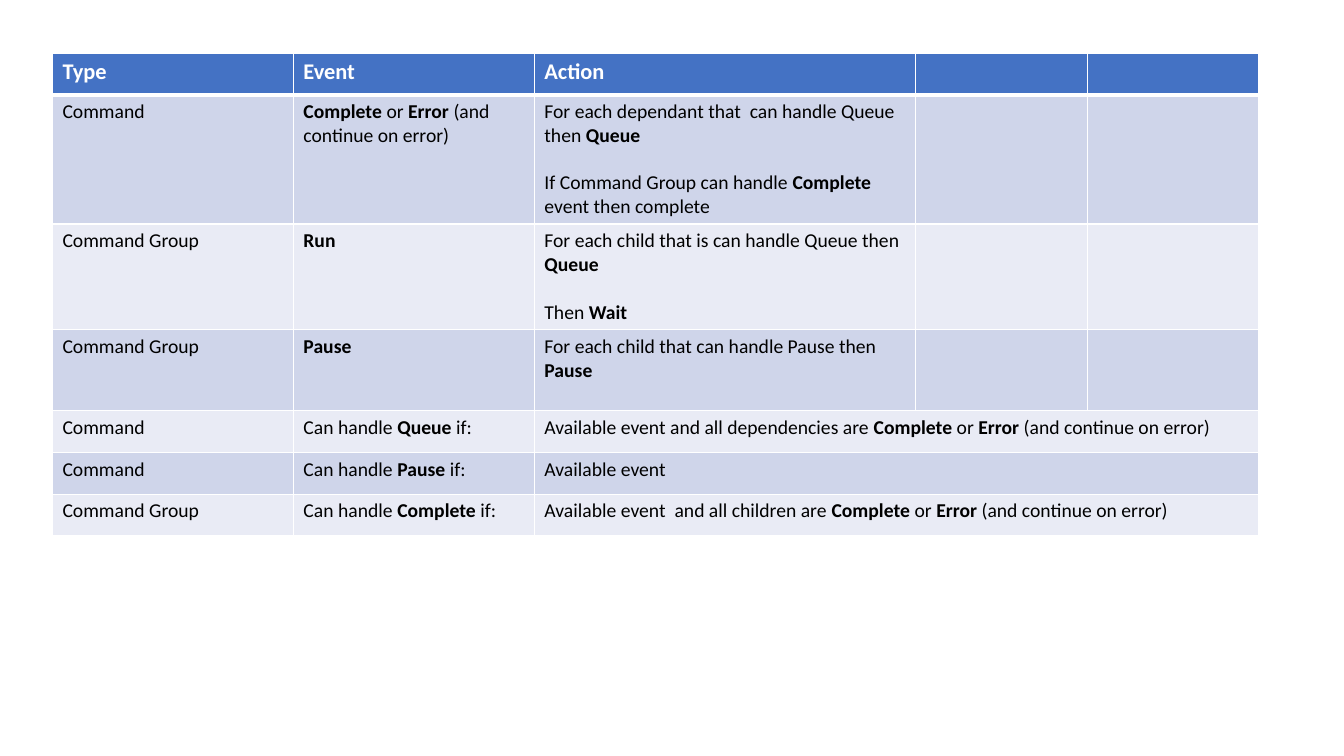
from lxml import etree
from pptx import Presentation
from pptx.dml.color import RGBColor
from pptx.oxml.ns import qn
from pptx.util import Inches, Pt

BLANK_LAYOUT = 6
WHITE, BLACK, HEADER_BLUE = "FFFFFF", "000000", "4472C4"
BAND_COLORS = ["E9EBF5", "CFD5EA"]
COLUMN_WIDTHS = [2.39, 2.39, 3.78, 1.71, 1.69]
ROW_HEIGHTS = [0.41, 1.28, 1.05, 0.8, 0.42, 0.41, 0.41]
ACTION_COLUMN = 2
FIRST_MERGED_ROW = 4
LINE_GAP = 17

# Asterisks enclose bold words; a list holds paragraphs, "^" opens one after a gap.
ROWS = [
    ["*Type*", "*Event*", "*Action*"],
    ["Command", "*Complete *or* Error *(and continue on error)",
     ["For each dependant that  can handle Queue then *Queue*",
      "^If Command Group can handle *Complete* event then complete"]],
    ["Command Group", "*Run*",
     ["For each child that is can handle Queue then", "*Queue*", "^Then *Wait*"]],
    ["Command Group", "*Pause*",
     ["For each child that can handle Pause then", "*Pause*"]],
    ["Command", "Can handle *Queue *if:",
     "Available event and all dependencies are *Complete* or *Error *(and continue on error)"],
    ["Command", "Can handle *Pause* if:", "Available event"],
    ["Command Group", "Can handle *Complete* if:",
     "Available event  and all children are *Complete* or *Error *(and continue on error)"],
]


def write_text(cell, text, size=14, color=BLACK, font="Calibri"):
    """Write marked-up paragraphs into a cell."""
    lines = text if isinstance(text, list) else [text]
    for index, line in enumerate(lines):
        frame = cell.text_frame
        para = frame.add_paragraph() if index else frame.paragraphs[0]
        if line.startswith("^"):
            para.space_before = Pt(LINE_GAP)
        for part, words in enumerate(line.lstrip("^").split("*")):
            if words:
                span = para.add_run()
                span.text = words
                span.font.name, span.font.size = font, Pt(size)
                span.font.bold = part % 2 == 1
                span.font.color.rgb = RGBColor.from_string(color)


def style_cell(cell, fill, top=1, bottom=1):
    """Give a cell white borders and a solid fill."""
    properties = cell._tc.get_or_add_tcPr()
    for side, width in (("L", 1), ("R", 1), ("T", top), ("B", bottom)):
        line = etree.SubElement(properties, qn(f"a:ln{side}"), w=str(Pt(width)))
        solid = etree.SubElement(line, qn("a:solidFill"))
        etree.SubElement(solid, qn("a:srgbClr"), val=WHITE)
    cell.fill.solid()
    cell.fill.fore_color.rgb = RGBColor.from_string(fill)


deck = Presentation()
deck.slide_width, deck.slide_height = Inches(13.33), Inches(7.5)
page = deck.slides.add_slide(deck.slide_layouts[BLANK_LAYOUT])
event_table = page.shapes.add_table(
    len(ROWS), len(COLUMN_WIDTHS), Inches(0.52), Inches(0.53),
    Inches(sum(COLUMN_WIDTHS)), Inches(sum(ROW_HEIGHTS))).table

for column, width in zip(event_table.columns, COLUMN_WIDTHS):
    column.width = Inches(width)

for row_index, (texts, height) in enumerate(zip(ROWS, ROW_HEIGHTS)):
    event_table.rows[row_index].height = Inches(height)
    is_header = row_index == 0
    fill = HEADER_BLUE if is_header else BAND_COLORS[row_index % 2]
    for column_index in range(len(COLUMN_WIDTHS)):
        style_cell(event_table.cell(row_index, column_index), fill,
                   top=3 if row_index == 1 else 1, bottom=3 if is_header else 1)
    for column_index, text in enumerate(texts):
        write_text(event_table.cell(row_index, column_index), text,
                   size=16 if is_header else 14, color=WHITE if is_header else BLACK)
    if row_index >= FIRST_MERGED_ROW:
        event_table.cell(row_index, ACTION_COLUMN).merge(
            event_table.cell(row_index, len(COLUMN_WIDTHS) - 1))

deck.save("out.pptx")
